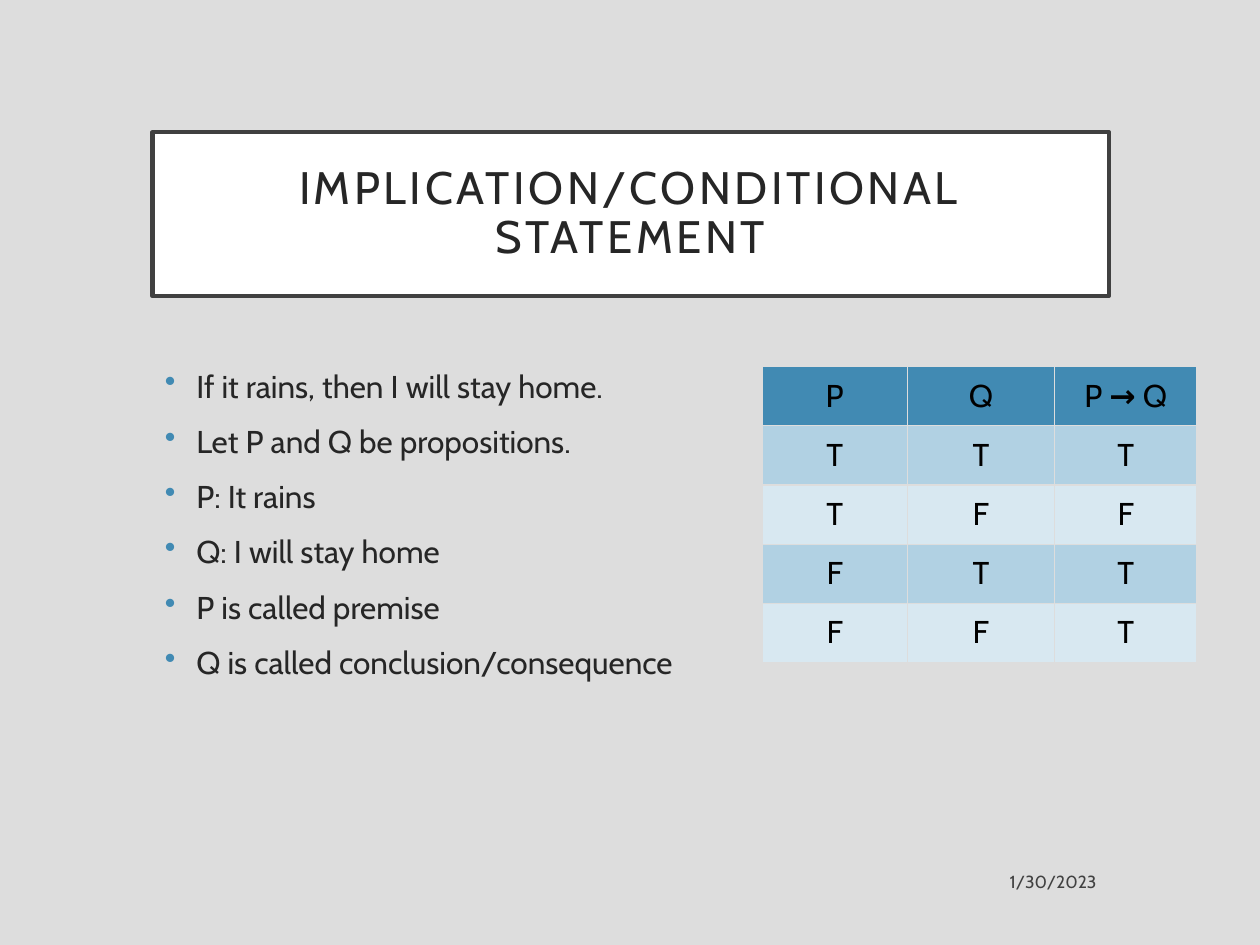
from pptx import Presentation
from pptx import util as u
from pptx.dml.color import RGBColor
from pptx.enum import shapes, text
from pptx.oxml import parse_xml
from pptx.oxml.ns import nsdecls, qn

HUES = {
    "back": "DDDDDD", "white": "FFFFFF", "frame": "404040", "ink": "262626",
    "black": "000000", "blue": "418AB3", "mid": "B1D1E3", "pale": "D8E8F1",
}
hue = {name: RGBColor.from_string(code) for name, code in HUES.items()}

deck = Presentation()
deck.slide_width, deck.slide_height = u.Inches(10), u.Inches(7.5)
slide = deck.slides.add_slide(deck.slide_layouts[6])
slide.background.fill.solid()
slide.background.fill.fore_color.rgb = hue["back"]


def area(*parts):
    """Turn left, top, width, height in percent of the slide into lengths."""
    sides = (deck.slide_width, deck.slide_height) * 2
    return [int(side * part / 100) for side, part in zip(sides, parts)]


def style(para, size, color, align=text.PP_ALIGN.LEFT):
    para.alignment = align
    for run in para.runs:
        run.font.name = "Cabin"
        run.font.size = u.Pt(size)
        run.font.color.rgb = hue[color]


# Framed title
title = slide.shapes.add_shape(shapes.MSO_SHAPE.RECTANGLE, *area(12.1, 14, 75.9, 17.33))
title.shadow.inherit = False
title.fill.solid()
title.fill.fore_color.rgb = hue["white"]
title.line.color.rgb = hue["frame"]
title.line.width = u.Pt(2.5)
frame = title.text_frame
frame.text = "IMPLICATION/CONDITIONAL STATEMENT"
frame.word_wrap = True
frame.vertical_anchor = text.MSO_ANCHOR.MIDDLE
frame.margin_left = frame.margin_right = u.Inches(0.2)
frame.margin_top = frame.margin_bottom = u.Inches(0.2)
head = frame.paragraphs[0]
style(head, 26, "ink", text.PP_ALIGN.CENTER)
head.line_spacing = 0.9
head.runs[0].font._element.set("spc", "200")

# Bullet list
points = [
    "If it rains, then I will stay home.",
    "Let P and Q be propositions.",
    "P: It rains",
    "Q: I will stay home",
    "P is called premise",
    "Q is called conclusion/consequence",
]
body = slide.shapes.add_textbox(*area(12.1, 38.13, 47.4, 45.6)).text_frame
body.word_wrap = True
body.text = "\n".join(points)
for i, para in enumerate(body.paragraphs):
    props = para._p.get_or_add_pPr()
    props.set("marL", str(u.Inches(0.25)))
    props.set("indent", str(-u.Inches(0.25)))
    props.append(parse_xml(
        f'<a:buClr {nsdecls("a")}><a:srgbClr val="{HUES["blue"]}"/></a:buClr>'))
    props.append(parse_xml(f'<a:buChar {nsdecls("a")} char="•"/>'))
    style(para, 18, "ink")
    if i:
        para.space_before = u.Pt(10)

# Truth table
rows = [("P", "Q", "P → Q"), "TTT", "TFF", "FTT", "FFT"]
table = slide.shapes.add_table(5, 3, *area(60.5, 38.8, 34.5, 31.33)).table
for col, share in zip(table.columns, (11.5, 11.7, 11.3)):
    col.width = int(deck.slide_width * share / 100)
for r, row in enumerate(rows):
    shade = "blue" if r == 0 else "mid" if r % 2 else "pale"
    for c, word in enumerate(row):
        cell = table.cell(r, c)
        cell.margin_left = cell.margin_right = u.Inches(0.08)
        cell.margin_top = cell.margin_bottom = u.Inches(0.08)
        para = cell.text_frame.paragraphs[0]
        left, arrow, right = word.partition("→")
        for part in filter(None, (left, arrow, right)):
            run = para.add_run()
            run.text = part
            run.font.bold = part == "→"
        style(para, 18, "black", text.PP_ALIGN.CENTER)
        for side in "LRTB":
            cell._tc.get_or_add_tcPr().append(parse_xml(
                f'<a:ln{side} {nsdecls("a")} w="{u.Pt(0.75)}"><a:solidFill>'
                f'<a:srgbClr val="{HUES["back"]}"/></a:solidFill></a:ln{side}>'))
        cell.fill.solid()
        cell.fill.fore_color.rgb = hue[shade]

# Date
date = slide.shapes.add_textbox(*area(65.4, 90.93, 22.6, 4.67)).text_frame
date.word_wrap = True
date.vertical_anchor = text.MSO_ANCHOR.MIDDLE
date.text = "1/30/2023"
stamp = date.paragraphs[0]
style(stamp, 10, "black", text.PP_ALIGN.RIGHT)
tint = stamp.runs[0].font._element.find(".//" + qn("a:srgbClr"))
tint.append(parse_xml(f'<a:alpha {nsdecls("a")} val="70000"/>'))

deck.save("out.pptx")
